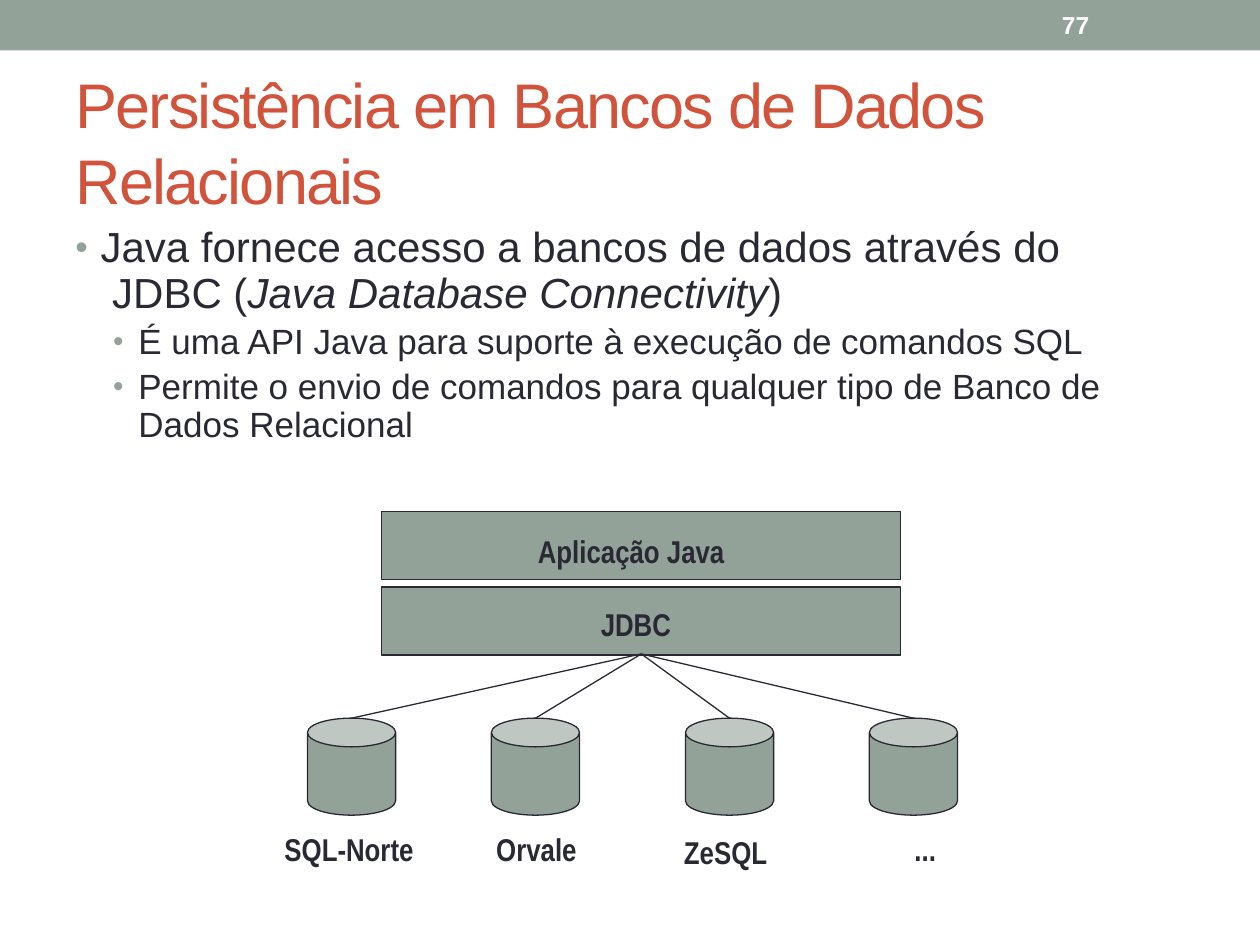
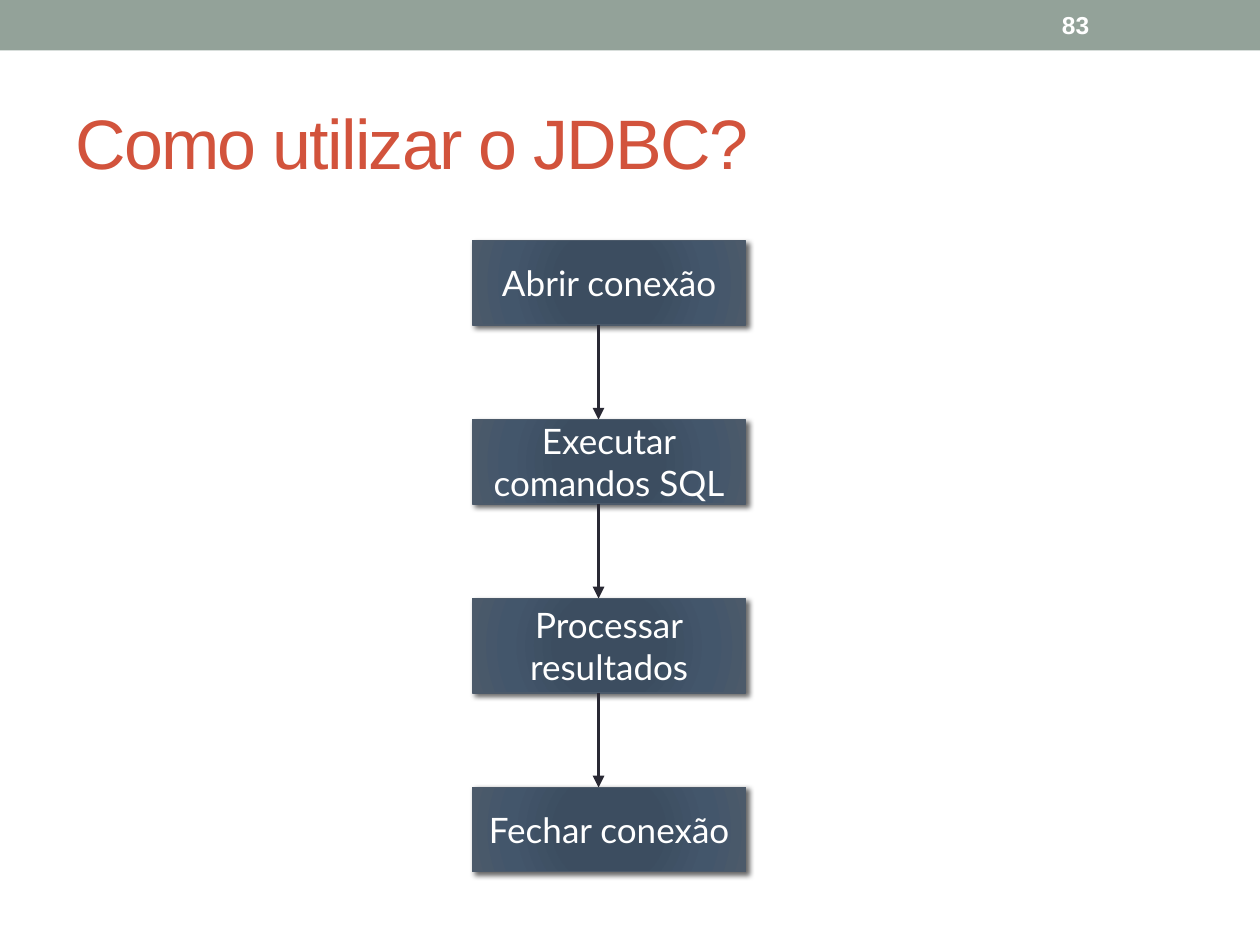
from pptx import Presentation
from pptx.dml.color import RGBColor
from pptx.enum.shapes import MSO_CONNECTOR as Connector, MSO_SHAPE as Shape
from pptx.enum.text import MSO_ANCHOR as Anchor, MSO_AUTO_SIZE as AutoSize, PP_ALIGN as Align
from pptx.oxml import parse_xml
from pptx.oxml.ns import nsdecls, qn
from pptx.util import Inches, Pt

COLORS = {"sage": "93A299", "title": "D2533C", "ink": "292934", "white": "FFFFFF",
          "step_edge": "4C5A6A"}
STEP_STOPS = [(0, "3B4D61"), (34, "3C4D60"), (70, "43566B"), (100, "4C5A6A")]

TITLE = {"name": "Arial", "color": "title"}
NUMBER = {"name": "Arial", "size": Pt(14), "bold": True, "color": "white"}
LABEL = {"name": "Arial Narrow", "size": Pt(18), "bold": True, "color": "ink"}
STEP = {"name": "Lato", "size": Pt(20), "color": "white"}
BULLET_LEVELS = [{"size": 24, "margin": 0.2}, {"size": 20, "margin": 0.5}]


def rgb(name):
    """Return the colour stored under a name."""
    return RGBColor.from_string(COLORS[name])


def format_font(font, style):
    """Set the font attributes listed in a style."""
    for key, value in style.items():
        if key == "color":
            font.color.rgb = rgb(value)
        else:
            setattr(font, key, value)


def add_span(para, text, style):
    """Append a styled run to a paragraph."""
    span = para.add_run()
    span.text = text
    format_font(span.font, style)
    return span


def add_box(shapes, area, wrap=True, anchor=Anchor.TOP):
    """Add an empty text box and return its text frame."""
    frame = shapes.add_textbox(*map(Inches, area)).text_frame
    frame.word_wrap = wrap
    frame.vertical_anchor = anchor
    return frame


def add_label(shapes, text, left, top, width):
    """Add a bold one-line label, with spare room on its right."""
    frame = add_box(shapes, (left, top, width, 0.4), wrap=False)
    frame.auto_size = AutoSize.SHAPE_TO_FIT_TEXT
    frame.margin_right = 0
    add_span(frame.paragraphs[0], text, LABEL)


def add_block(shapes, kind, area, edge="ink"):
    """Add a flat sage shape, outlined unless edge is None."""
    block = shapes.add_shape(kind, *map(Inches, area))
    block.shadow.inherit = False
    block.fill.solid()
    block.fill.fore_color.rgb = rgb("sage")
    if edge:
        block.line.color.rgb = rgb(edge)
        block.line.width = Pt(0.75)
    else:
        block.line.fill.background()
    return block


def add_line(shapes, start, end, width=0.75, arrow=False):
    """Add a straight line, with an arrowhead at its end if asked."""
    line = shapes.add_connector(Connector.STRAIGHT, *map(Inches, start + end))
    line.line.color.rgb = rgb("ink")
    line.line.width = Pt(width)
    properties = line._element.spPr
    if arrow:
        properties.find(qn("a:ln")).append(
            parse_xml(f'<a:tailEnd {nsdecls("a")} type="triangle"/>'))
    properties.append(parse_xml(f'<a:effectLst {nsdecls("a")}/>'))


def add_page(deck, title, title_size, number):
    """Add a page with the band, the title and the page number."""
    page = deck.slides.add_slide(deck.slide_layouts[6])
    add_block(page.shapes, Shape.RECTANGLE, (0, 0, 10, 0.4), edge=None)
    heading = add_box(page.shapes, (0.5, 0.58, 9, 1.08), anchor=Anchor.MIDDLE)
    span = add_span(heading.paragraphs[0], title, {**TITLE, "size": Pt(title_size)})
    span._r.get_or_add_rPr().set("spc", "-100")
    corner = add_box(page.shapes, (8.33, 0.02, 1.17, 0.36), anchor=Anchor.MIDDLE)
    add_span(corner.paragraphs[0], number, NUMBER)
    return page


def format_bullet(para, level):
    """Give a paragraph the bullet, indent and spacing of its level."""
    look = BULLET_LEVELS[level]
    para.level = level
    para.line_spacing = 0.9
    para.space_before = Pt(look["size"] * 0.2)
    properties = para._p.get_or_add_pPr()
    properties.set("marL", str(Inches(look["margin"])))
    properties.set("indent", str(Inches(-0.2)))
    for xml in (f'<a:buClr {nsdecls("a")}><a:srgbClr val="{COLORS["sage"]}"/></a:buClr>',
                f'<a:buSzPct {nsdecls("a")} val="85000"/>',
                f'<a:buFont {nsdecls("a")} typeface="Arial"/>',
                f'<a:buChar {nsdecls("a")} char="•"/>'):
        properties.append(parse_xml(xml))


def add_bullets(page, items):
    """Add the body text from (level, spans); a span is text and italic flag."""
    frame = add_box(page.shapes, (0.5, 1.75, 9, 5.33))
    for index, (level, spans) in enumerate(items):
        para = frame.add_paragraph() if index else frame.paragraphs[0]
        format_bullet(para, level)
        style = {"name": "Arial", "size": Pt(BULLET_LEVELS[level]["size"]), "color": "ink"}
        for text, italic in spans:
            for number, part in enumerate(text.split("\n")):
                if number:
                    para.add_line_break()
                add_span(para, part, {**style, "italic": italic})


def add_architecture(page):
    """Draw the application and JDBC layers over the databases."""
    shapes = page.shapes.add_group_shape().shapes
    layers = [("JDBC", 4.66, 4.67, 4.75, 0.76),
              ("Aplicação Java", 4.06, 4.17, 4.17, 1.69)]
    for text, top, label_left, label_top, label_width in layers:
        add_block(shapes, Shape.RECTANGLE, (3.03, top, 4.12, 0.54))
        add_label(shapes, text, label_left, label_top, label_width)

    databases = [("SQL-Norte", 2.44, 2.16, 6.54, 1.33), ("Orvale", 3.9, 3.84, 6.54, 0.84),
                 ("ZeSQL", 5.44, 5.33, 6.56, 0.91), ("...", 6.9, 7.16, 6.54, 0.37)]
    for text, left, label_left, label_top, label_width in databases:
        cylinder = add_block(shapes, Shape.CAN, (left, 5.7, 0.7, 0.77))
        cylinder.adjustments[0] = 0.326
        add_label(shapes, text, label_left, label_top, label_width)
        add_line(shapes, (left + 0.35, 5.7), (5.09, 5.19))


def add_step(page, lines, top, height):
    """Add a shaded step box with centred lines of text."""
    step = page.shapes.add_shape(Shape.RECTANGLE, *map(Inches, (3.75, top, 2.17, height)))
    step.line.color.rgb = rgb("step_edge")
    step.line.width = Pt(0.75)
    stops = "".join(f'<a:gs pos="{place * 1000}"><a:srgbClr val="{color}"/></a:gs>'
                    for place, color in STEP_STOPS)
    properties = step._element.spPr
    properties.find(qn("a:prstGeom")).addnext(parse_xml(
        f'<a:gradFill {nsdecls("a")} rotWithShape="1"><a:gsLst>{stops}</a:gsLst>'
        '<a:path path="circle"><a:fillToRect l="100000" t="100000" r="100000" b="100000"/>'
        '</a:path></a:gradFill>'))
    properties.append(parse_xml(
        f'<a:effectLst {nsdecls("a")}><a:outerShdw blurRad="{Pt(3)}" dist="{Pt(2)}" '
        'dir="2700000" algn="tl" rotWithShape="0"><a:srgbClr val="000000">'
        '<a:alpha val="60000"/></a:srgbClr></a:outerShdw></a:effectLst>'))
    frame = step.text_frame
    frame.word_wrap = False
    frame.vertical_anchor = Anchor.MIDDLE
    for index, text in enumerate(lines):
        para = frame.add_paragraph() if index else frame.paragraphs[0]
        para.alignment = Align.CENTER
        add_span(para, text, STEP)


def add_flow(page, steps, top=1.91, gap=0.75):
    """Stack the steps with an arrow in each gap."""
    for index, (lines, height) in enumerate(steps):
        if index:
            add_line(page.shapes, (4.75, top - gap), (4.75, top), 2.25, arrow=True)
        add_step(page, lines, top, height)
        top += height + gap


def main():
    """Build and save the deck."""
    deck = Presentation()
    deck.slide_width, deck.slide_height = Inches(10), Inches(7.5)

    page = add_page(deck, "Persistência em Bancos de Dados Relacionais", 36, "77")
    add_bullets(page, [
        (0, [("Java fornece acesso a bancos de dados através do\n JDBC (", False),
             ("Java Database Connectivity", True), (")", False)]),
        (1, [("É uma API Java para suporte à execução de comandos SQL", False)]),
        (1, [("Permite o envio de comandos para qualquer tipo de Banco de Dados Relacional",
              False)]),
    ])
    add_architecture(page)

    page = add_page(deck, "Como utilizar o JDBC?", 40, "83")
    add_flow(page, [(["Abrir conexão"], 0.67), (["Executar", "comandos SQL"], 0.67),
                    (["Processar", "resultados"], 0.75), (["Fechar conexão"], 0.67)])

    deck.save("out.pptx")


main()
